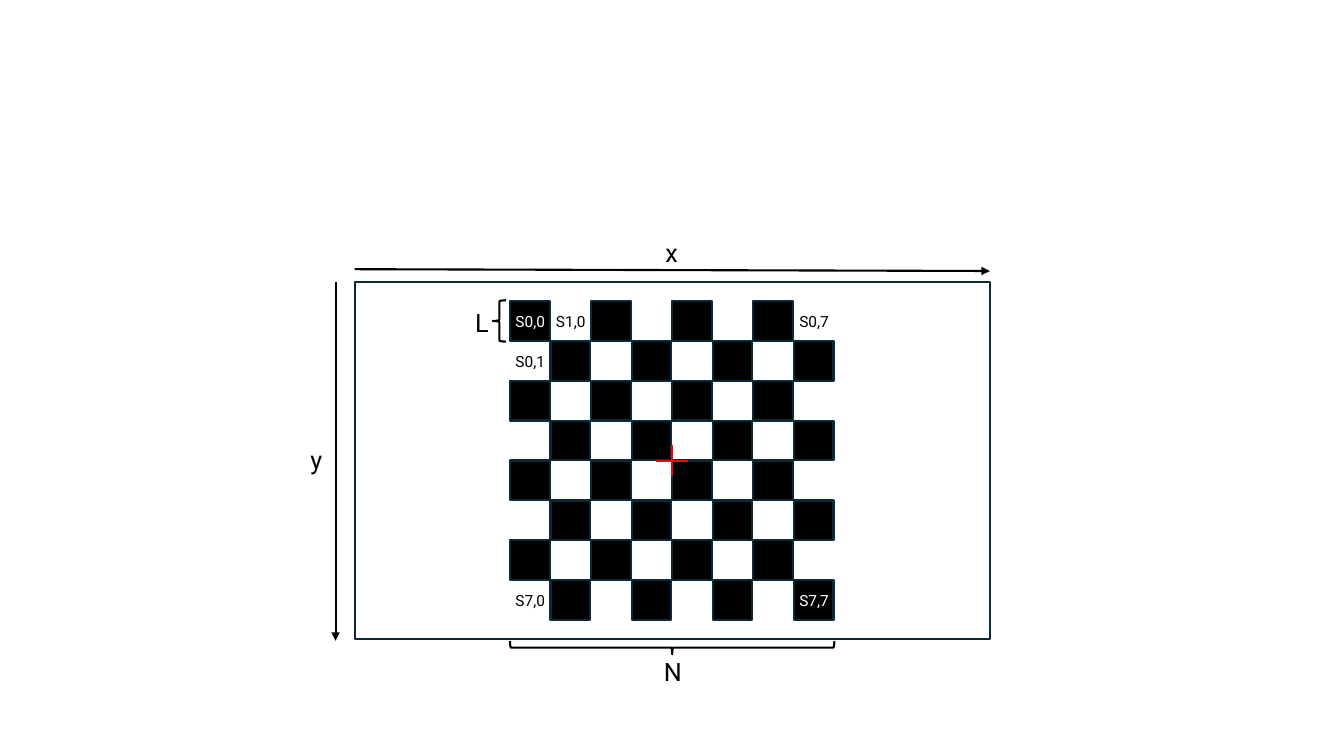
from lxml.etree import SubElement
from pptx import Presentation
from pptx.dml.color import RGBColor
from pptx.enum.shapes import MSO_CONNECTOR, MSO_SHAPE
from pptx.enum.text import MSO_ANCHOR, MSO_AUTO_SIZE, PP_ALIGN
from pptx.oxml.ns import qn
from pptx.util import Pt

BLACK = RGBColor(0x00, 0x00, 0x00)
WHITE = RGBColor(0xFF, 0xFF, 0xFF)
NAVY = RGBColor(0x09, 0x2A, 0x39)
RED = RGBColor(0xFF, 0x00, 0x00)

CELLS = 8
LINE_WIDTH = 1.5
# Label of a square: (column, row)
SQUARE_LABELS = {
    "S0,0": (0, 0), "S1,0": (1, 0), "S7,0": (0, 7),
    "S0,1": (0, 1), "S0,7": (7, 0), "S7,7": (7, 7),
}


def add_outlined(slide, kind, box, line, fill=None):
    shape = slide.shapes.add_shape(kind, *(Pt(length) for length in box))
    shape.shadow.inherit = False
    if fill is None:
        shape.fill.background()
    else:
        shape.fill.solid()
        shape.fill.fore_color.rgb = fill
    shape.line.color.rgb = line
    shape.line.width = Pt(LINE_WIDTH)
    return shape


def add_line(slide, start, end, color, arrow=False):
    line = slide.shapes.add_connector(
        MSO_CONNECTOR.STRAIGHT, *(Pt(length) for length in (*start, *end)))
    line.line.color.rgb = color
    line.line.width = Pt(LINE_WIDTH)
    if arrow:
        SubElement(line.line._get_or_add_ln(), qn("a:tailEnd"), type="triangle")
    SubElement(line._element.spPr, qn("a:effectLst"))


def add_label(slide, text, center_x, center_y, width, height, size, color=BLACK):
    label = slide.shapes.add_textbox(
        Pt(center_x - width / 2), Pt(center_y - height / 2), Pt(width), Pt(height))
    frame = label.text_frame
    frame.word_wrap = False
    frame.auto_size = MSO_AUTO_SIZE.SHAPE_TO_FIT_TEXT
    frame.vertical_anchor = MSO_ANCHOR.MIDDLE
    paragraph = frame.paragraphs[0]
    paragraph.text = text
    paragraph.alignment = PP_ALIGN.CENTER
    paragraph.font.name = "Roboto"
    paragraph.font.size = Pt(size)
    paragraph.font.color.rgb = color


def add_big_label(slide, text, center_x, center_y):
    add_label(slide, text, center_x, center_y, 25, 29, 18)


def draw_board(slide, left, top, width, height):
    step_x, step_y = width / CELLS, height / CELLS

    # Dark squares
    for col in range(CELLS):
        for row in range(col % 2, CELLS, 2):
            add_outlined(slide, MSO_SHAPE.RECTANGLE,
                         (left + col * step_x, top + row * step_y, 28.4, 28.4),
                         NAVY, BLACK)

    # Square names
    for name, (col, row) in SQUARE_LABELS.items():
        color = BLACK if (col + row) % 2 else WHITE
        add_label(slide, name, left + (col + 0.5) * step_x,
                  top + (row + 0.5) * step_y, 36, 20.6, 11, color)

    # Red cross at the centre
    center_x, center_y, arm = left + width / 2, top + height / 2, 11.3
    add_line(slide, (center_x, center_y - arm), (center_x, center_y + arm), RED)
    add_line(slide, (center_x + arm, center_y), (center_x - arm, center_y), RED)


def draw_braces(slide, left, top, width, height):
    depth = 9.4

    # Side length of one square
    add_outlined(slide, MSO_SHAPE.LEFT_BRACE,
                 (left - 12.3, top - 0.5, depth, 29.5), BLACK)
    add_big_label(slide, "L", left - 20, top + 15.3)

    # Number of squares, with the brace turned to point down
    center_x, center_y = left + width / 2, top + height + 19.6
    brace = add_outlined(slide, MSO_SHAPE.LEFT_BRACE,
                         (center_x - depth / 2, center_y - width / 2, depth, width),
                         BLACK)
    brace.rotation = 270
    add_big_label(slide, "N", center_x - 0.5, center_y + 17)


def draw_screen(slide, left, top, width, height):
    add_outlined(slide, MSO_SHAPE.RECTANGLE, (left, top, width, height), NAVY)

    # Axes
    add_line(slide, (left - 13.7, top), (left - 13.7, top + height + 1.2), BLACK, True)
    add_big_label(slide, "y", left - 27.5, top + height / 2 - 0.8)
    add_line(slide, (left, top - 9.3), (left + width, top - 8), BLACK, True)
    add_big_label(slide, "x", left + width / 2 - 0.5, top - 21.6)


def main():
    presentation = Presentation()
    presentation.slide_width, presentation.slide_height = Pt(960), Pt(540)
    slide = presentation.slides.add_slide(presentation.slide_layouts[6])
    board = (364.3, 215, 231.7, 228)
    draw_board(slide, *board)
    draw_screen(slide, 253.4, 201.6, 453.6, 254.9)
    draw_braces(slide, *board)
    presentation.save("out.pptx")


if __name__ == "__main__":
    main()
